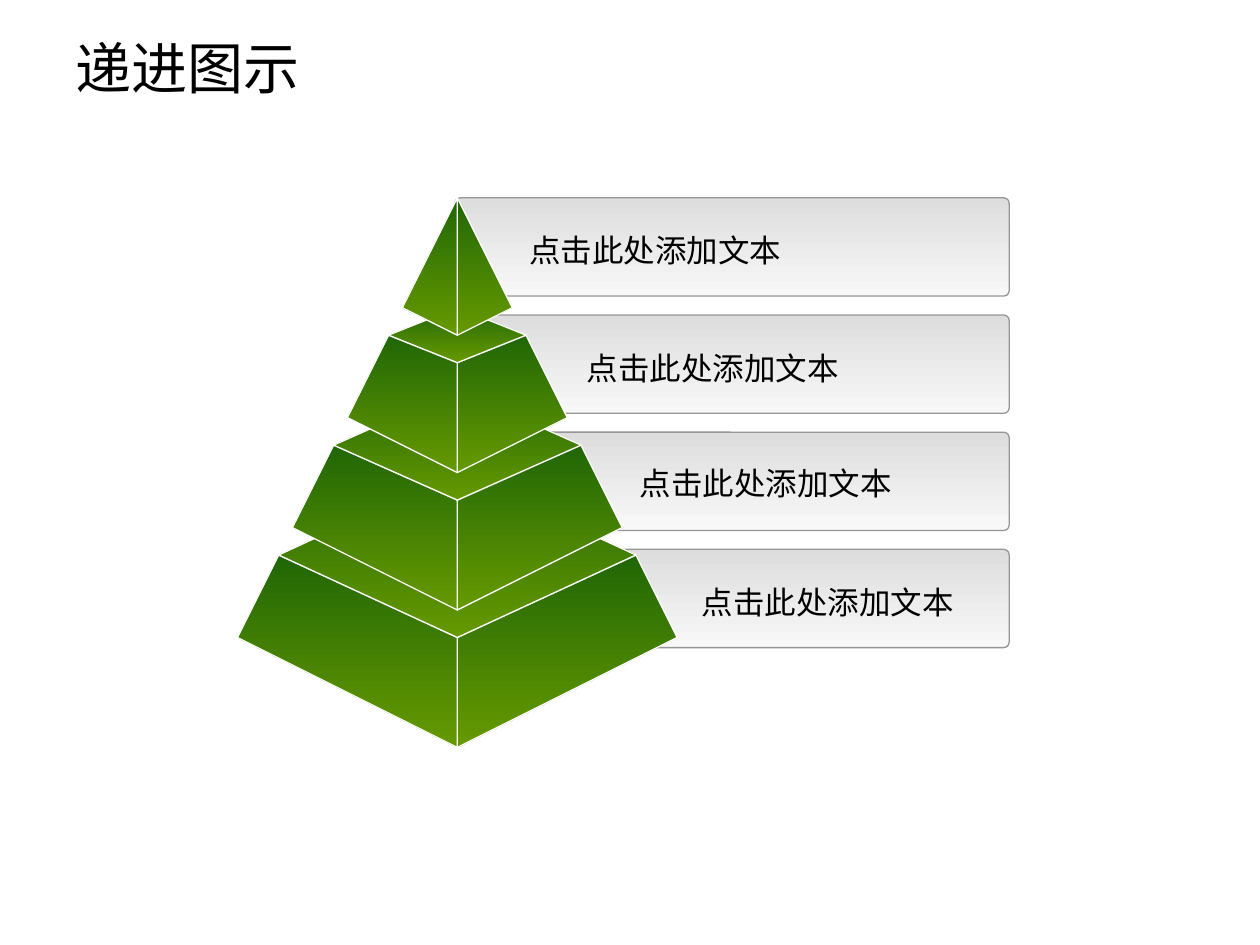
from pptx import Presentation
from pptx.dml.color import RGBColor
from pptx.enum.shapes import MSO_SHAPE
from pptx.enum.text import MSO_ANCHOR, MSO_AUTO_SIZE, PP_ALIGN
from pptx.util import Inches, Pt

COLORS = {
    "text": "000000",
    "bar_top": "DDDDDD", "bar_bottom": "F8F8F8", "bar_line": "969696",
    "face_top": "216606", "face_bottom": "669900", "face_line": "FFFFFF",
}


def color(name):
    return RGBColor.from_string(COLORS[name])


def write(frame, text, size=18, font="Arial", ink="text"):
    frame.word_wrap = True
    frame.vertical_anchor = MSO_ANCHOR.MIDDLE
    paragraph = frame.paragraphs[0]
    paragraph.alignment = PP_ALIGN.LEFT
    run = paragraph.add_run()
    run.text = text
    run.font.size = Pt(size)
    run.font.name = font
    run.font.color.rgb = color(ink)


class Deck:
    def __init__(self, width, height):
        self.prs = Presentation()
        self.prs.slide_width = Inches(width)
        self.prs.slide_height = Inches(height)
        self.slide = self.prs.slides.add_slide(self.prs.slide_layouts[5])

    def paint(self, shape, part):
        shape.shadow.inherit = False
        shape.fill.gradient()
        shape.fill.gradient_angle = 270
        for stop, end in zip(shape.fill.gradient_stops, ("top", "bottom")):
            stop.color.rgb = color(f"{part}_{end}")
        for stop, position in zip(shape.fill.gradient_stops, (0, 1)):
            stop.position = position
        shape.line.color.rgb = color(f"{part}_line")
        shape.line.width = Pt(0.75)

    def title(self, text, left, top, width, height):
        heading = self.slide.shapes.title
        heading.left, heading.top = Inches(left), Inches(top)
        heading.width, heading.height = Inches(width), Inches(height)
        write(heading.text_frame, text, size=32)

    def bar(self, left, top, width, height):
        bar = self.slide.shapes.add_shape(
            MSO_SHAPE.ROUNDED_RECTANGLE,
            Inches(left), Inches(top), Inches(width), Inches(height))
        bar.adjustments[0] = 0.055
        self.paint(bar, "bar")

    def face(self, group, points):
        corners = [(Inches(x), Inches(y)) for x, y in points]
        builder = group.shapes.build_freeform(*corners[0])
        builder.add_line_segments(corners[1:], close=True)
        self.paint(builder.convert_to_shape(), "face")

    def label(self, text, left, top, width, height):
        box = self.slide.shapes.add_textbox(
            Inches(left), Inches(top), Inches(width), Inches(height))
        write(box.text_frame, text)
        box.text_frame.auto_size = MSO_AUTO_SIZE.SHAPE_TO_FIT_TEXT


deck = Deck(10, 7.5)
deck.title("递进图示", 0.5, 0.21, 9, 0.64)

# Bars behind the pyramid
APEX_X, APEX_Y = 3.63, 1.57
for level in range(4):
    deck.bar(3.61, APEX_Y + 0.93 * level, 4.4, 0.78)

# Pyramid tiers, from the base up to the tip
STEP = 3.49 / 8  # half the base width, shared by four tiers
pyramid = deck.slide.shapes.add_group_shape()
for tier in (4, 3, 2, 1):
    rim = STEP * (tier - 0.75) if tier > 1 else 0
    rim_y = APEX_Y + 2 * rim
    depth = STEP / 2 * (tier - 1)
    foot = STEP * tier
    foot_y = APEX_Y + 2 * foot
    for side in (1, -1):
        outline = [(APEX_X, rim_y + depth)]
        if rim:
            outline.append((APEX_X + side * rim, rim_y))
        outline += [(APEX_X + side * foot, foot_y),
                    (APEX_X, foot_y + foot / 2)]
        deck.face(pyramid, outline)
    if rim:
        deck.face(pyramid, [(APEX_X - rim, rim_y), (APEX_X, rim_y - depth),
                            (APEX_X + rim, rim_y), (APEX_X, rim_y + depth)])

# Labels share one right edge
LABEL_RIGHT = 7.81
for left, top in ((4.1, 1.78), (4.56, 2.72), (4.98, 3.63), (5.47, 4.58)):
    deck.label("点击此处添加文本", left, top, LABEL_RIGHT - left, 0.4)

deck.prs.save("out.pptx")
